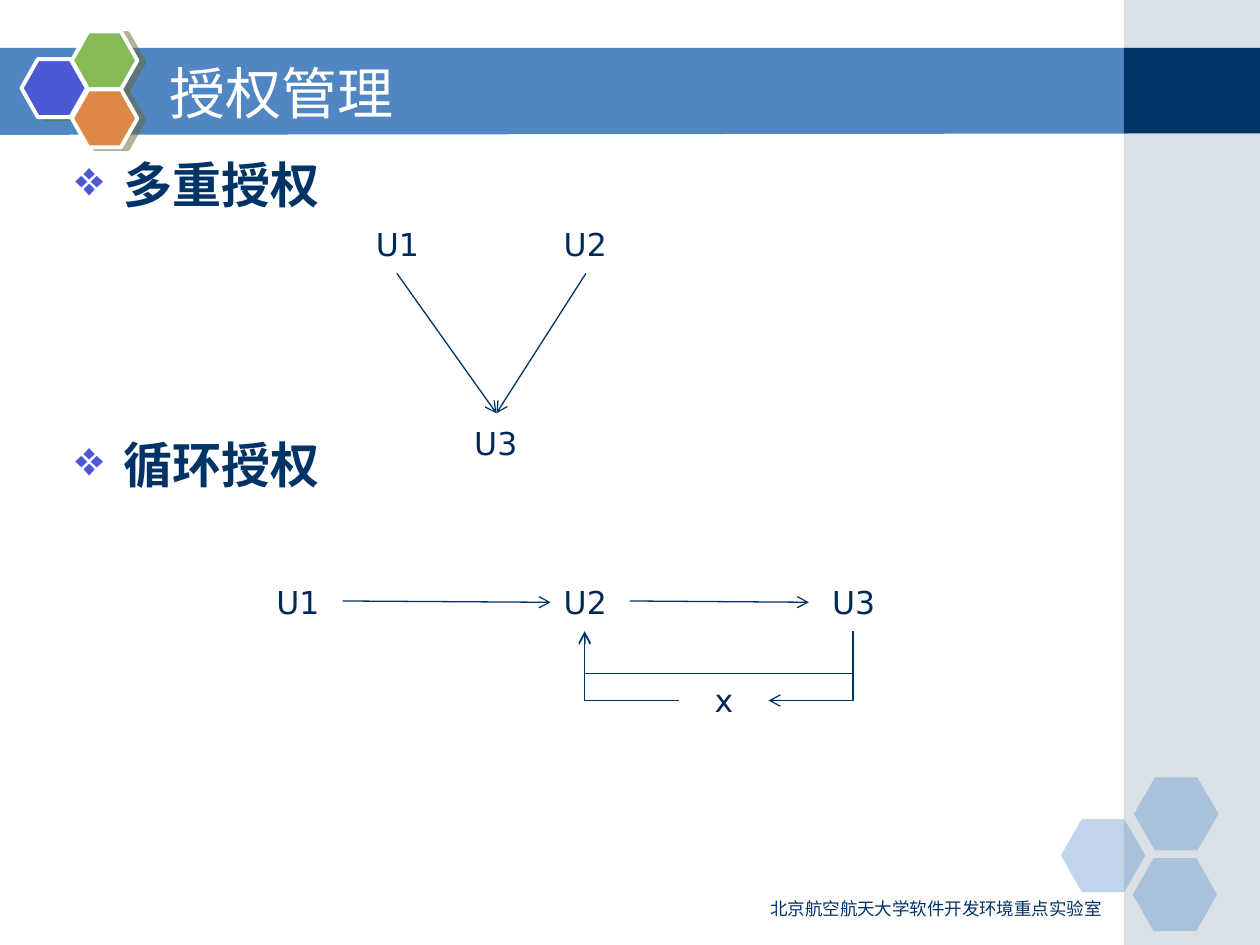
from dataclasses import dataclass

from lxml import etree
from pptx import Presentation
from pptx import util as u
from pptx.dml.color import RGBColor
from pptx.enum import shapes, text
from pptx.oxml import parse_xml
from pptx.oxml.ns import nsdecls, qn

Inches = u.Inches


@dataclass(frozen=True)
class Theme:
    font: str = "DejaVu Sans"
    banner: str = "5086C2"
    side: str = "A0B5C4"
    navy: str = "003366"
    label: str = "002A56"
    white: str = "FFFFFF"
    blue: str = "4C59D2"
    green: str = "85BA54"
    orange: str = "DE8848"
    shadow: str = "666633"
    title_size: int = 32
    heading_size: int = 28
    label_size: int = 18
    footer_size: int = 10


T = Theme()


def paint(sp, color, alpha=None):
    sp.shadow.inherit = False
    sp.line.fill.background()
    sp.fill.solid()
    sp.fill.fore_color.rgb = RGBColor.from_string(color)
    if alpha is not None:
        clr = sp.fill._xPr.find(qn("a:solidFill"))[0]
        etree.SubElement(clr, qn("a:alpha"), val=str(alpha * 1000))


def add_block(s, kind, x, y, w, h, color, alpha=None):
    sp = s.shapes.add_shape(kind, Inches(x), Inches(y), Inches(w), Inches(h))
    paint(sp, color, alpha)
    return sp


def add_faded_hexagon(s, x, y):
    sp = add_block(s, shapes.MSO_SHAPE.HEXAGON, x, y, 0.67, 0.58, T.banner, 35)
    sp.adjustments[0] = 0.286


def add_badge_hexagon(s, x, y, color):
    sp = add_block(s, shapes.MSO_SHAPE.HEXAGON, x, y, 0.52, 0.46, color)
    sp.adjustments[0] = 0.283
    sp.line.color.rgb = RGBColor.from_string(T.white)
    sp.line.width = u.Pt(2.25)
    effects = sp._element.spPr.find(qn("a:effectLst"))
    effects.append(parse_xml(
        f'<a:outerShdw {nsdecls("a")} dist="{u.Pt(4.1)}" dir="{14 * 60000}" '
        f'algn="ctr" rotWithShape="0"><a:srgbClr val="{T.shadow}">'
        '<a:alpha val="50000"/></a:srgbClr></a:outerShdw>'))


def add_text(s, x, y, w, h, lines, size, color, align=text.PP_ALIGN.LEFT,
             anchor=text.MSO_ANCHOR.MIDDLE, bold=False):
    tf = s.shapes.add_textbox(Inches(x), Inches(y), Inches(w), Inches(h)).text_frame
    tf.word_wrap = True
    tf.vertical_anchor = anchor
    tf.text = lines
    for p in tf.paragraphs:
        p.alignment = align
        for r in p.runs:
            r.font.name = T.font
            r.font.size = u.Pt(size)
            r.font.bold = bold
            r.font.color.rgb = RGBColor.from_string(color)
    return tf


def add_label(s, cx, y, caption):
    add_text(s, cx - 0.35, y, 0.71, 0.47, caption, T.label_size, T.label,
             text.PP_ALIGN.CENTER)


def add_bullet(p, space_before):
    p.space_before = u.Pt(space_before)
    pPr = p._p.get_or_add_pPr()
    pPr.set("marL", str(Inches(0.38)))
    pPr.set("indent", str(-Inches(0.38)))
    color = etree.SubElement(pPr, qn("a:buClr"))
    etree.SubElement(color, qn("a:srgbClr"), val=T.blue)
    etree.SubElement(pPr, qn("a:buChar"), char="❖")


def add_arrow(s, start, end, kind=shapes.MSO_CONNECTOR.STRAIGHT):
    c = s.shapes.add_connector(kind, *map(Inches, start + end))
    c.line.color.rgb = RGBColor.from_string(T.navy)
    c.line.width = u.Pt(0.75)
    etree.SubElement(c.line._get_or_add_ln(), qn("a:tailEnd"), type="arrow")
    etree.SubElement(c._element.spPr, qn("a:effectLst"))
    return c


def add_elbow(s, x, y, w, h, turn, preset, bend=None):
    """Elbow arrow given by its frame before it is turned, in degrees."""
    c = add_arrow(s, (x, y), (x + w, y + h), shapes.MSO_CONNECTOR.ELBOW)
    spPr = c._element.spPr
    spPr.find(qn("a:xfrm")).set("rot", str(turn * 60000))
    geom = spPr.find(qn("a:prstGeom"))
    geom.set("prst", preset)
    if bend is not None:
        guides = geom.find(qn("a:avLst"))
        etree.SubElement(guides, qn("a:gd"), name="adj1",
                         fmla=f"val {bend * 100000}")


def add_frame(s):
    # Title banner and side panel
    fb = s.shapes.build_freeform(Inches(-0.01), Inches(0.38))
    fb.add_line_segments([(Inches(8.95), Inches(0.38)),
                          (Inches(8.95), Inches(1.06)),
                          (Inches(-0.01), Inches(1.07))])
    paint(fb.convert_to_shape(), T.banner)
    rect = shapes.MSO_SHAPE.RECTANGLE
    add_block(s, rect, 8.92, 0, 1.08, 7.5, T.side, 40)
    add_block(s, rect, 8.92, 0.38, 1.08, 0.68, T.navy)

    # Hexagon clusters
    for x, y in ((8.42, 6.5), (9, 6.17), (8.99, 6.81)):
        add_faded_hexagon(s, x, y)
    for x, y, color in ((0.17, 0.47, T.blue), (0.57, 0.25, T.green),
                        (0.57, 0.71, T.orange)):
        add_badge_hexagon(s, x, y, color)


def add_words(s):
    add_text(s, 1.25, 0.42, 7.33, 0.62, "授权管理", T.title_size, T.white)
    tf = add_text(s, 0.5, 1.18, 9, 5.74, "多重授权\n循环授权", T.heading_size,
                  T.navy, anchor=text.MSO_ANCHOR.TOP, bold=True)
    for p, gap in zip(tf.paragraphs, (7, 126)):
        add_bullet(p, gap)
    add_text(s, 5.67, 7.08, 3.17, 0.26, "北京航空航天大学软件开发环境重点实验室",
             T.footer_size, T.navy, text.PP_ALIGN.RIGHT, text.MSO_ANCHOR.TOP)


def add_multiple_grant(s):
    for cx, y, caption in ((3.15, 1.7, "U1"), (4.64, 1.7, "U2"), (3.93, 3.28, "U3")):
        add_label(s, cx, y, caption)
    for x in (4.65, 3.15):
        add_arrow(s, (x, 2.17), (3.94, 3.28))


def add_cyclic_grant(s):
    for cx, caption in ((2.36, "U1"), (4.64, "U2"), (6.77, "U3")):
        add_label(s, cx, 4.54, caption)
    for x1, x2 in ((2.72, 4.37), (5, 6.42)):
        add_arrow(s, (x1, 4.77), (x2, 4.78))

    # Refused grant from U3 back to U2
    add_label(s, 5.74, 5.32, "x")
    add_elbow(s, 6.16, 4.95, 0.55, 0.67, 90, "bentConnector2")
    add_elbow(s, 4.64, 5.01, 0.75, 0.55, 180, "bentConnector2")
    add_elbow(s, 5.7, 3.95, 0.01, 2.13, 90, "bentConnector3", 34)


def main():
    prs = Presentation()
    prs.slide_width, prs.slide_height = Inches(10), Inches(7.5)
    s = prs.slides.add_slide(prs.slide_layouts[6])
    add_frame(s)
    add_words(s)
    add_multiple_grant(s)
    add_cyclic_grant(s)
    prs.save("out.pptx")


if __name__ == "__main__":
    main()
